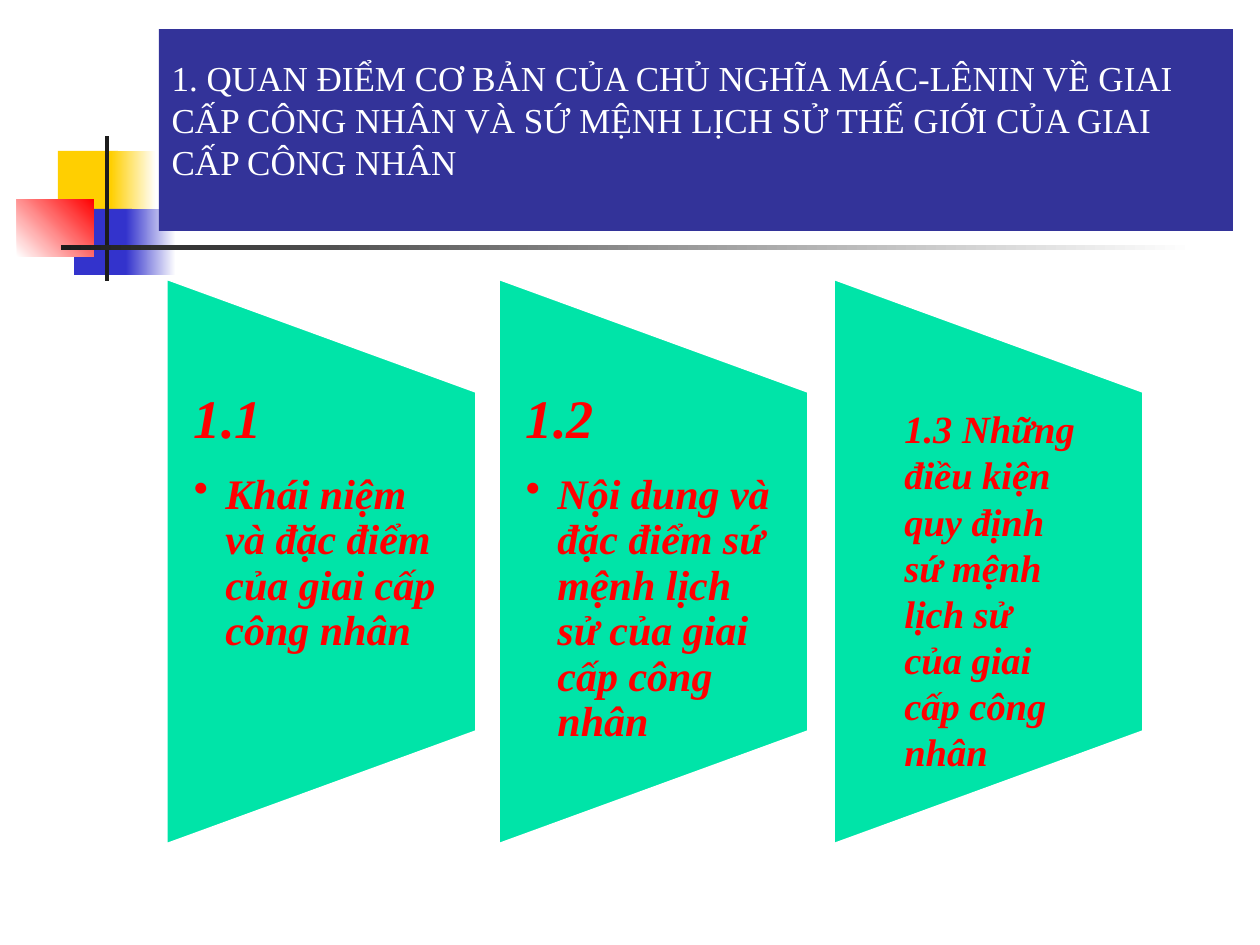
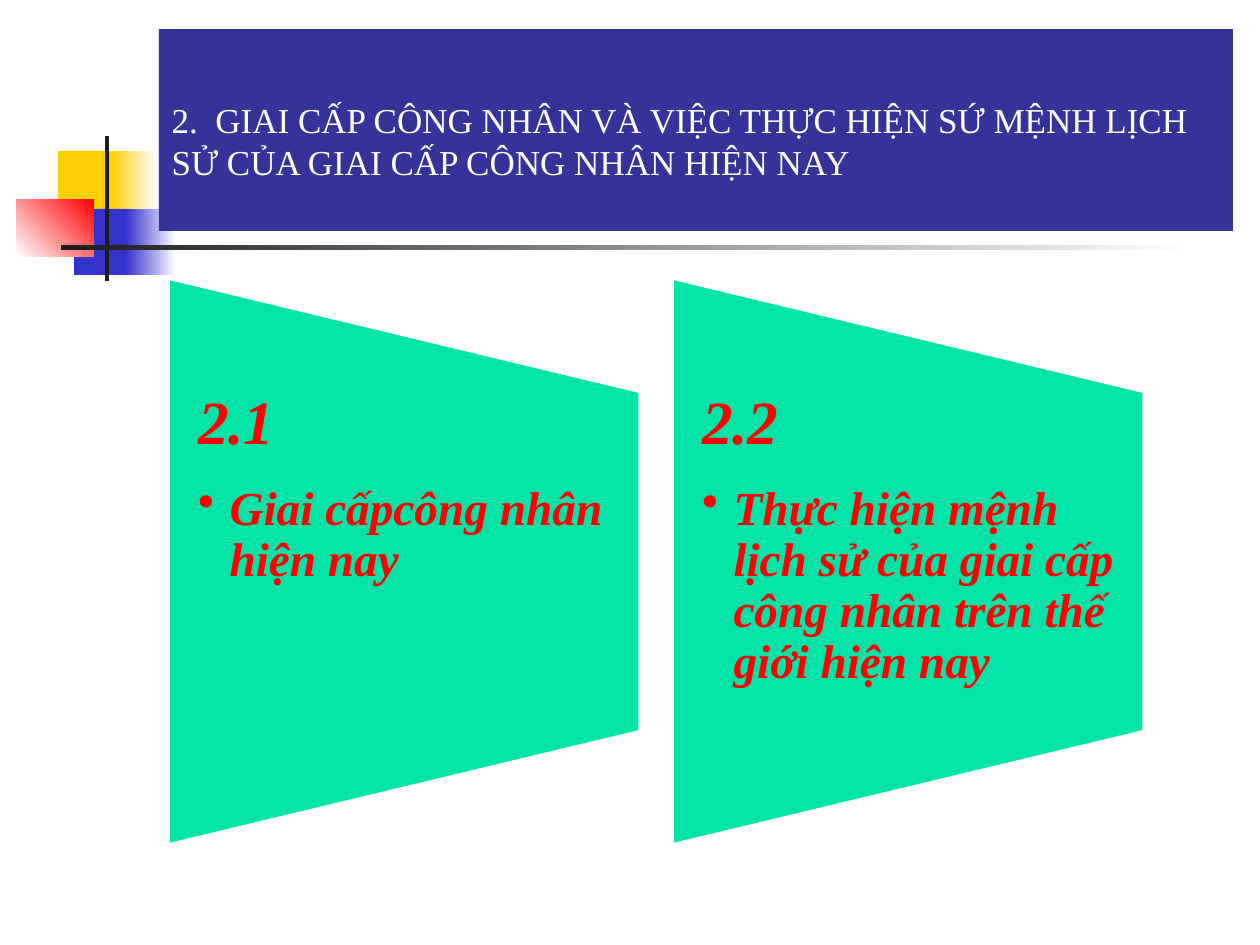
"""Build two slides on the working class and its historic mission."""
from lxml import etree
from pptx import Presentation, util as u
from pptx.dml.color import RGBColor
from pptx.enum import shapes, text
from pptx.oxml import ns

PX = 914400 / 126
FONT = "Times New Roman"
WHITE = RGBColor(0xFF, 0xFF, 0xFF)
NAVY = RGBColor(0x33, 0x33, 0x99)
BLUE = RGBColor(0x33, 0x33, 0xCC)
YELLOW = RGBColor(0xFF, 0xCF, 0x01)
RED = RGBColor(0xFF, 0x00, 0x00)
DARK = RGBColor(0x1C, 0x1C, 0x1C)
GREEN = RGBColor(0x00, 0xE4, 0xA8)

PANEL_TOP, PANEL_HEIGHT = 278, 567
TEXT_TOP, TEXT_HEIGHT = 392, 340


def px(*lengths):
    return [u.Emu(round(n * PX)) for n in lengths]


class Deck:
    """Hold the style, the shared layout and the current slide."""

    def __init__(self):
        self.prs = Presentation()
        self.prs.slide_width, self.prs.slide_height = px(1260, 945)
        self.layout = self.prs.slide_layouts[5]
        self.s = None

    def shape(self, kind, box, fill, end=None, angle=0):
        sp = self.s.shapes.add_shape(kind, *px(*box))
        sp.shadow.inherit = False
        sp.line.fill.background()
        if end is None:
            sp.fill.solid()
            sp.fill.fore_color.rgb = fill
        else:
            sp.fill.gradient()
            sp.fill.gradient_angle = angle
            for stop, color in zip(sp.fill.gradient_stops, (fill, end)):
                stop.color.rgb = color
        return sp

    def ornament(self, *args):
        sp = self.shape(shapes.MSO_SHAPE.RECTANGLE, *args)
        el = sp._element
        tree = self.layout.shapes._spTree
        el.nvSpPr.cNvPr.set("id", str(100 + len(tree)))
        tree.append(el)

    def ornaments(self):
        self.ornament((58, 151, 60, 66), YELLOW)
        self.ornament((111, 151, 45, 66), YELLOW, WHITE)
        self.ornament((74, 209, 58, 66), BLUE)
        self.ornament((126, 209, 50, 66), BLUE, WHITE)
        self.ornament((17, 199, 77, 58), WHITE, RED, 45)
        self.ornament((105, 136, 4, 145), DARK)
        self.ornament((61, 245, 1134, 5), DARK, WHITE)

    def slide(self, title):
        first = self.s is None
        self.s = self.prs.slides.add_slide(self.layout)
        if first:
            self.ornaments()
        sp = self.s.shapes.title
        sp.left, sp.top, sp.width, sp.height = px(159, 29, 1074, 202)
        sp.fill.solid()
        sp.fill.fore_color.rgb = NAVY
        tf = sp.text_frame
        tf.auto_size = text.MSO_AUTO_SIZE.NONE
        tf.vertical_anchor = text.MSO_ANCHOR.BOTTOM
        tf.margin_bottom, = px(48)
        p = tf.paragraphs[0]
        p.alignment = text.PP_ALIGN.LEFT
        self.run(p, title, 20, WHITE)

    def run(self, p, words, size, color=RED, strong=False):
        r = p.add_run()
        r.text = words
        r.font.name, r.font.size = FONT, u.Pt(size)
        r.font.bold = r.font.italic = strong
        r.font.color.rgb = color

    def textbox(self, *box):
        tf = self.s.shapes.add_textbox(*px(*box)).text_frame
        tf.word_wrap = True
        return tf

    def panel(self, x, width):
        left = x + (width - PANEL_HEIGHT) / 2
        top = PANEL_TOP + (PANEL_HEIGHT - width) / 2
        sp = self.shape(shapes.MSO_SHAPE.FLOWCHART_MANUAL_OPERATION,
                        (left, top, PANEL_HEIGHT, width), GREEN)
        sp.rotation = 270
        sp.line.color.rgb = WHITE
        sp.line.width = u.Pt(2)

    def topic(self, x, width, inset, number, words, sizes):
        self.panel(x, width)
        tf = self.textbox(x, TEXT_TOP, width, TEXT_HEIGHT)
        tf.margin_left, tf.margin_right = px(inset, inset)
        tf.margin_top = tf.margin_bottom = 0
        head, item = tf.paragraphs[0], tf.add_paragraph()
        head.space_after = u.Pt(round(sizes[0] * 0.42))
        self.bullet(item)
        for p, line, size in zip((head, item), (number, words), sizes):
            p.line_spacing = 0.9
            self.run(p, line, size, strong=True)

    def bullet(self, p):
        p.level = 1
        pPr = p._p.get_or_add_pPr()
        indent = u.Inches(0.25)
        pPr.set("marL", str(indent))
        pPr.set("indent", str(-indent))
        etree.SubElement(pPr, ns.qn("a:buChar")).set("char", "•")

    def note(self, box, words, size):
        tf = self.textbox(*box)
        self.run(tf.paragraphs[0], words, size, strong=True)


def main():
    deck = Deck()

    deck.slide("1. QUAN ĐIỂM CƠ BẢN CỦA CHỦ NGHĨA MÁC-LÊNIN VỀ GIAI CẤP CÔNG NHÂN "
               "VÀ SỨ MỆNH LỊCH SỬ THẾ GIỚI CỦA GIAI CẤP CÔNG NHÂN")
    topics = [("1.1", "Khái niệm và đặc điểm của giai cấp công nhân"),
              ("1.2", "Nội dung và đặc điểm sứ mệnh lịch sử của giai cấp công nhân")]
    for i, (number, words) in enumerate(topics):
        deck.topic(166 + 332 * i, 311, 28, number, words, (31, 24))
    deck.panel(833, 311)
    deck.note((892, 399, 199, 386),
              "1.3 Những điều kiện quy định sứ mệnh lịch sử của giai cấp công nhân", 22)

    deck.slide("2.  GIAI CẤP CÔNG NHÂN VÀ VIỆC THỰC HIỆN SỨ MỆNH LỊCH SỬ "
               "CỦA GIAI CẤP CÔNG NHÂN HIỆN NAY")
    topics = [("2.1", "Giai cấpcông nhân hiện nay"),
              ("2.2", "Thực hiện mệnh lịch sử của giai cấp công nhân trên thế giới hiện nay")]
    for i, (number, words) in enumerate(topics):
        deck.topic(168 + 504 * i, 472, 30, number, words, (35, 27))

    deck.prs.save("out.pptx")


if __name__ == "__main__":
    main()
